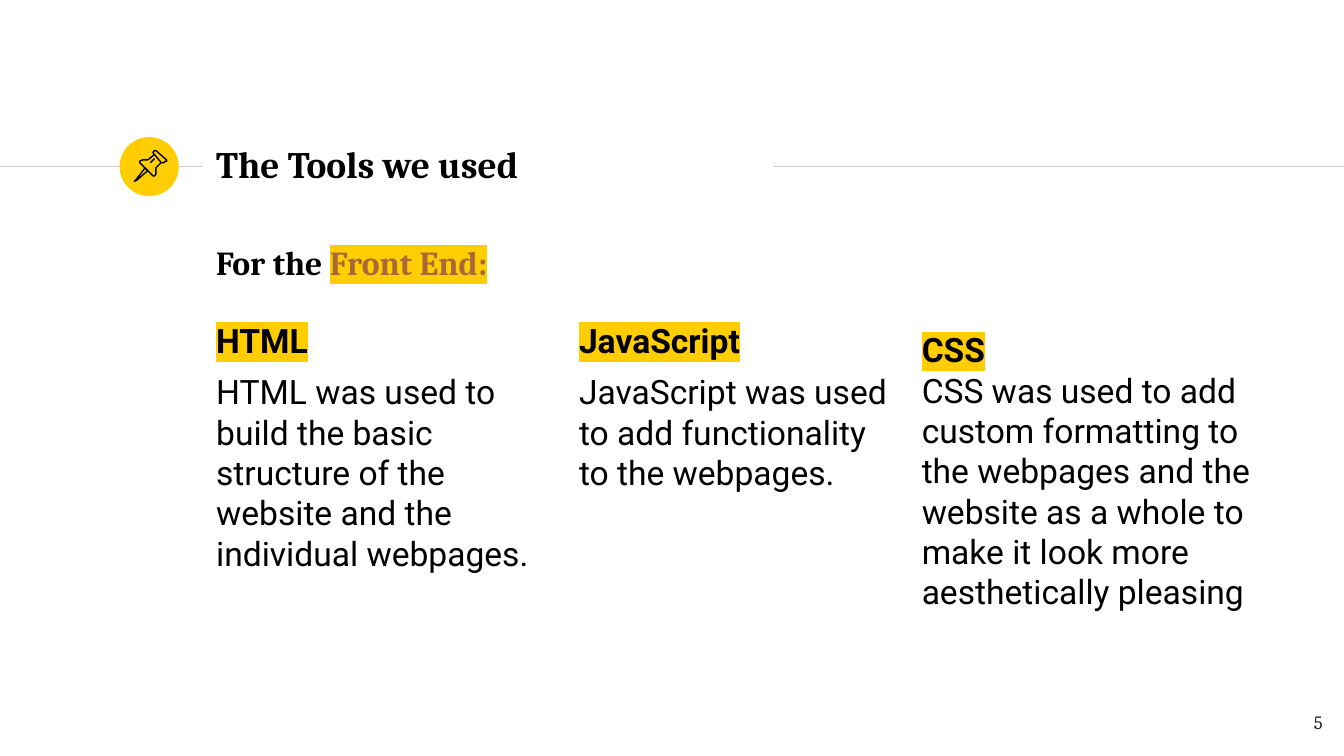
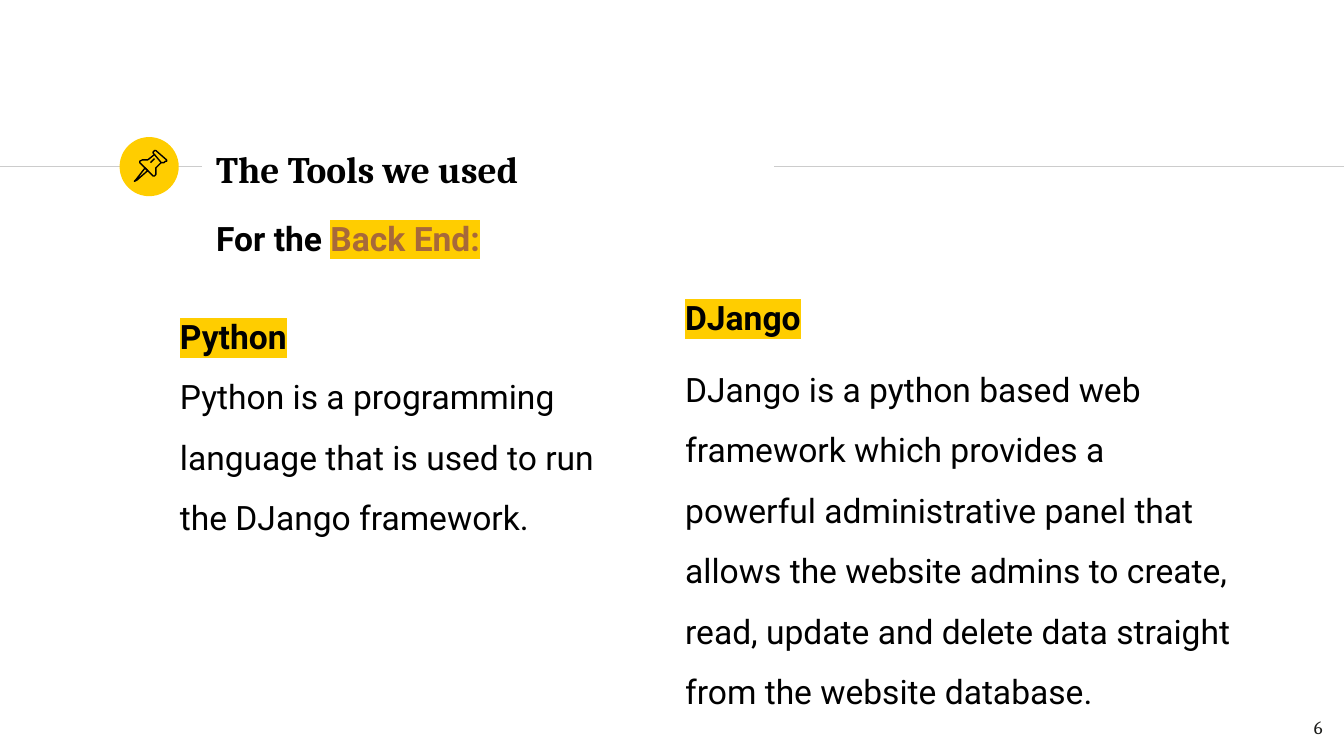
from lxml import etree
from pptx import Presentation
from pptx.dml.color import RGBColor
from pptx.enum.shapes import MSO_CONNECTOR, MSO_SHAPE
from pptx.enum.text import MSO_ANCHOR, MSO_AUTO_SIZE, PP_ALIGN
from pptx.oxml.ns import qn
from pptx.util import Inches, Pt

LINE, OVAL = MSO_CONNECTOR.STRAIGHT, MSO_SHAPE.OVAL
TOP, MID = MSO_ANCHOR.TOP, MSO_ANCHOR.MIDDLE
GROW, FIXED = MSO_AUTO_SIZE.SHAPE_TO_FIT_TEXT, MSO_AUTO_SIZE.NONE
LEFT, RIGHT = PP_ALIGN.LEFT, PP_ALIGN.RIGHT

WIDE, HIGH = Inches(10), Inches(5.625)
COLS = 100
CELL = WIDE // COLS

COLORS = {
    "gold": "FFCD00",
    "rule": "CCCCCC",
    "ink": "000000",
    "brown": "A7693A",
    "page": "1D1D1B",
}
SERIF, SANS = "Cambria", "Roboto"
INSETS = ("margin_left", "margin_top", "margin_right", "margin_bottom")

TITLE = {"name": SERIF, "size": Pt(20), "bold": True}
HEAD = {"name": SANS, "size": Pt(18), "bold": True}
BODY = {**HEAD, "bold": False}
SMALL = {"name": SERIF, "size": Pt(10), "bold": False}

BADGE = (8.9, 10.2, 4.4, 4.4)
NAME = (15.1, 9.8, 42.4, 4.8)
PAGE = (93.4, 51.9, 6, 4.3)
RULES = ((0, 15), (57.6, COLS))
AXIS = 12.4

PIN_GRID = 44
PIN = (
    (((19, 23), (12, 32), (11, 33), (13, 32), (21, 25)), True),
    (((26, 13), (31, 19), (33, 19), (34, 18), (35, 18), (35, 17),
      (27, 10), (26, 10), (25, 11), (25, 12)), True),
    (((26, 13), (21, 17), (19, 17), (17, 17), (15, 18), (15, 19), (25, 29),
      (26, 29), (27, 28), (27, 25), (27, 23), (31, 19)), False),
    (((23, 19), (26, 16)), False),
)


def rgb(key):
    return RGBColor.from_string(COLORS[key])


def apply(item, form):
    for key, val in form.items():
        setattr(item, key, val)


def emu(box):
    return [round(n * CELL) for n in box]


def run(para, words, font, color="ink", mark=None):
    part = para.add_run()
    part.text = words
    apply(part.font, font)
    part.font.color.rgb = rgb(color)
    if mark:
        fill = part.font._element.find(qn("a:solidFill"))
        glow = etree.Element(qn("a:highlight"))
        etree.SubElement(glow, qn("a:srgbClr"), val=COLORS[mark])
        fill.addnext(glow)


def text(slide, box, paras, anchor=TOP, size=FIXED):
    frame = slide.shapes.add_textbox(*emu(box)).text_frame
    apply(frame, {"word_wrap": True, "vertical_anchor": anchor, "auto_size": size})
    apply(frame, dict.fromkeys(INSETS, CELL))
    for i, (form, runs) in enumerate(paras):
        para = frame.paragraphs[0] if i == 0 else frame.add_paragraph()
        apply(para, form)
        for args in runs:
            run(para, *args)


def rule(slide, start, end, row):
    line = slide.shapes.add_connector(LINE, *emu((start, row, end, row)))
    line.line.color.rgb = rgb("rule")
    line.line.width = Pt(0.75)
    etree.SubElement(line._element.spPr, qn("a:effectLst"))


def badge(slide, box):
    left, top, wide, high = emu(box)
    disc = slide.shapes.add_shape(OVAL, left, top, wide, high)
    disc.shadow.inherit = False
    disc.fill.solid()
    disc.fill.fore_color.rgb = rgb("gold")
    disc.line.fill.background()
    group = slide.shapes.add_group_shape()
    for points, closed in PIN:
        path = group.shapes.build_freeform(*points[0], scale=wide / PIN_GRID)
        path.add_line_segments(points[1:], close=closed)
        shape = path.convert_to_shape(left, top)
        shape.shadow.inherit = False
        shape.fill.background()
        shape.line.color.rgb = rgb("ink")
        shape.line.width = Pt(0.75)


def frame(deck, number, lead):
    slide = deck.slides.add_slide(deck.slide_layouts[6])
    for start, end in RULES:
        rule(slide, start, end, AXIS)
    badge(slide, BADGE)
    form = {"line_spacing": lead}
    text(slide, NAME, [(form, [("The Tools we used", TITLE)])], MID)
    text(slide, PAGE, [({**form, "alignment": RIGHT}, [(number, SMALL, "page")])])
    return slide


def topic(slide, box, words, face, lead):
    font = {**HEAD, "name": face}
    runs = [("For the ", font), (words, font, "brown", "gold")]
    text(slide, box, [({"line_spacing": lead}, runs)], size=GROW)


def tool(slide, box, name, words, leads, gap, size):
    forms = [{"alignment": LEFT, "line_spacing": lead, "space_before": Pt(gap)}
             for lead in leads]
    runs = [[(name, HEAD, "ink", "gold")], [(words, BODY)]]
    text(slide, box, zip(forms, runs), size=size)


def front(deck):
    slide = frame(deck, "5", 1.0)
    topic(slide, (15.1, 17, 66.7, 5), "Front End:", SERIF, 1.0)
    tools = (
        ((15.1, 22.8, 25.5, 29.4), "HTML",
         "HTML was used to build the basic structure of the website and the "
         "individual webpages.", 6, FIXED),
        ((42.1, 22.8, 25.5, 27.6), "JavaScript",
         "JavaScript was used to add functionality to the webpages.", 6, FIXED),
        ((67.6, 23.5, 26.8, 23.2), "CSS",
         "CSS was used to add custom formatting to the webpages and the website "
         "as a whole to make it look more aesthetically pleasing", 0, GROW),
    )
    for box, name, words, gap, size in tools:
        tool(slide, box, name, words, (1.0, 1.0), gap, size)


def back(deck):
    slide = frame(deck, "6", 1.2)
    topic(slide, (15.1, 14.6, 66.7, 5), "Back End:", SANS, 1.2)
    tools = (
        ((50, 20.5, 43.4, 41.9), "DJango",
         "DJango is a python based web framework which provides a powerful "
         "administrative panel that allows the website admins to create, read, "
         "update and delete data straight from the website database.", 6),
        ((12.4, 21.9, 33.1, 29.4), "Python",
         "Python is a programming language that is used to run the DJango "
         "framework.", 0),
    )
    for box, name, words, gap in tools:
        tool(slide, box, name, words, (1.2, 1.5), gap, GROW)


def main():
    deck = Presentation()
    apply(deck, {"slide_width": WIDE, "slide_height": HIGH})
    front(deck)
    back(deck)
    deck.save("out.pptx")


if __name__ == "__main__":
    main()
